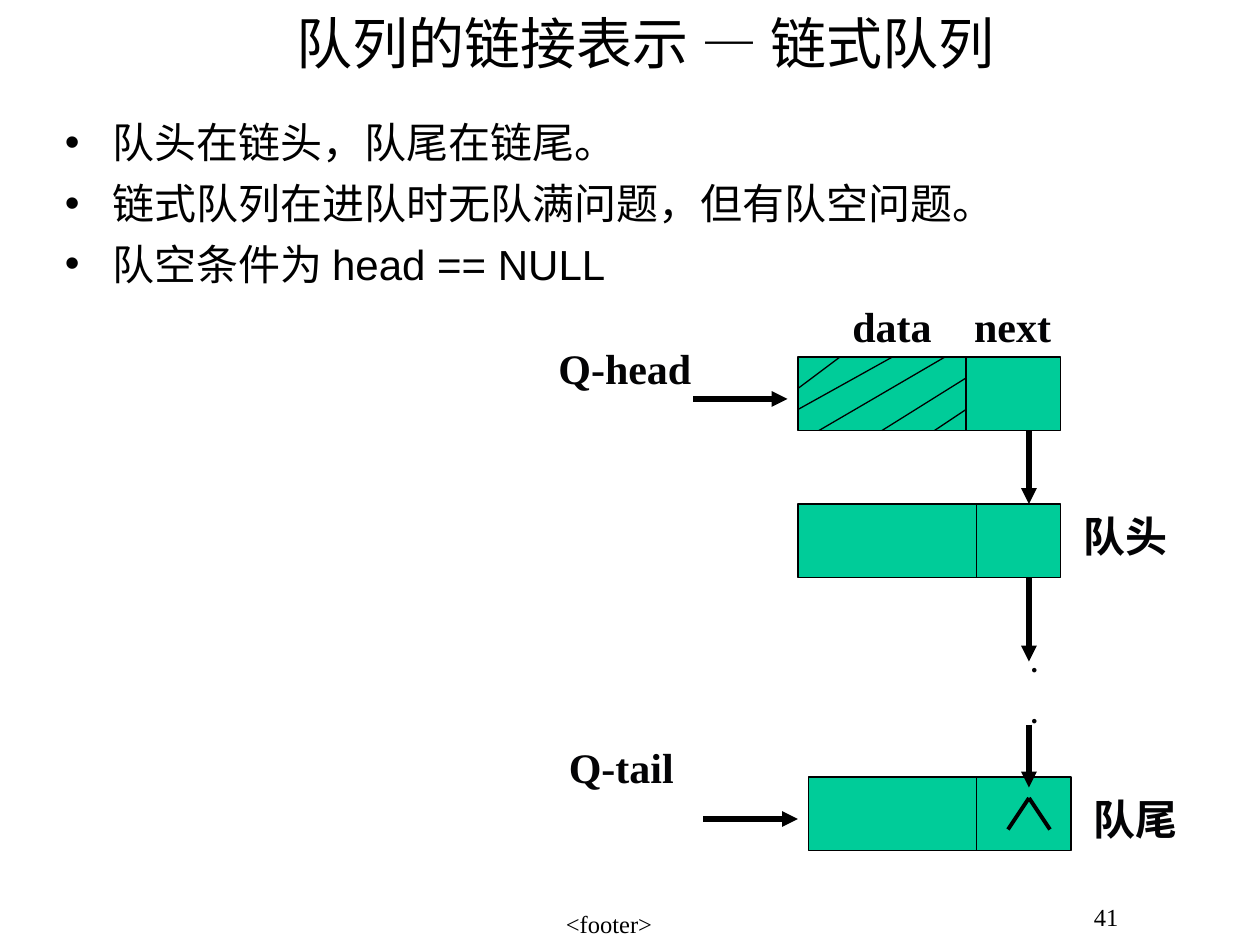
from lxml.etree import SubElement
from pptx import Presentation
from pptx.dml.color import RGBColor
from pptx.enum.shapes import MSO_CONNECTOR, MSO_SHAPE
from pptx.enum.text import MSO_ANCHOR, PP_ALIGN
from pptx.oxml.ns import qn
from pptx.util import Inches, Pt

THEME = {
    "ink": RGBColor(0, 0, 0),
    "label": RGBColor(3, 3, 5),
    "node": RGBColor(0, 0xCC, 0x99),
    "serif": "Times New Roman", "sans": "Arial", "cjk": "Noto Sans CJK SC",
    "title": Pt(32), "body": Pt(24), "dot": Pt(16), "foot": Pt(14),
    "thin": Pt(0.75), "mid": Pt(2.25), "thick": Pt(3),
}

# All places are in grid cells, twelve to the inch.
COLS, ROWS = 120, 90
WIDE, HIGH = 25, 7

TITLE = "队列的链接表示 — 链式队列"
POINTS = ["队头在链头，队尾在链尾。",
          "链式队列在进队时无队满问题，但有队空问题。",
          "队空条件为 head == NULL"]
LABELS = [("Q-head", 52, 32, 19), ("data", 80, 28, 11), ("next", 91.6, 28, 11),
          ("队头", 102, 48, 13), ("Q-tail", 53, 70, 19),
          ("队尾", 103, 75, 13)]  # text, left, top, width
NODES = [(76, 34, 92), (76, 48, 93), (77, 74, 93)]  # left, top, divider
HATCH = [(80, 34, 76, 37), (85, 34, 76, 39), (90, 34, 78, 41),
         (92, 36, 84, 41), (92, 39, 89, 41)]
ARROWS = [(66, 38, 75, 38), (98, 41, 98, 48), (98, 55, 98, 63),
          (98, 69, 98, 75), (67, 78, 76, 78)]
NULL = [(98, 76, 96, 79), (98, 76, 100, 79)]

deck = Presentation()


def cell(n):
    return Inches(n / 12)


deck.slide_width, deck.slide_height = cell(COLS), cell(ROWS)
slide = deck.slides.add_slide(deck.slide_layouts[6])
shapes = slide.shapes


def write(lines, box, font, para=None, anchor=MSO_ANCHOR.TOP):
    """Add a text box; font and para map attribute names to values."""
    frame = shapes.add_textbox(*map(cell, box)).text_frame
    frame.word_wrap = True
    frame.vertical_anchor = anchor
    for i, line in enumerate(lines):
        p = frame.paragraphs[0] if i == 0 else frame.add_paragraph()
        for key, val in (para or {}).items():
            setattr(p, key, val)
        run = p.add_run()
        run.text = line
        for key, val in font.items():
            setattr(run.font, key, val)
        run.font.color.rgb = THEME["label" if font.get("bold") else "ink"]
        SubElement(run.font._element, qn("a:ea"), typeface=THEME["cjk"])
    return frame


def draw(ends, width, arrow=False):
    line = shapes.add_connector(MSO_CONNECTOR.STRAIGHT, *map(cell, ends))
    line.line.width = width
    line.line.color.rgb = THEME["ink"]
    if arrow:
        SubElement(line.line._get_or_add_ln(), qn("a:tailEnd"), type="triangle")
    SubElement(line._element.spPr, qn("a:effectLst"))


def node(left, top, split):
    box = shapes.add_shape(MSO_SHAPE.RECTANGLE,
                           *map(cell, (left, top, WIDE, HIGH)))
    box.shadow.inherit = False
    box.fill.solid()
    box.fill.fore_color.rgb = THEME["node"]
    box.line.color.rgb = THEME["ink"]
    box.line.width = THEME["thin"]
    draw((split, top, split, top + HIGH), THEME["thin"])


foot = {"name": THEME["serif"], "size": THEME["foot"]}
bold = {"name": THEME["serif"], "size": THEME["body"], "bold": True}
mid = {"alignment": PP_ALIGN.CENTER}

write(["41"], (103, 85, 6, 5), foot, {"line_spacing": 1.1})
write(["<footer>"], (39, 86, 38, 4), foot, mid)

for spot in NODES:
    node(*spot)
for ends in HATCH:
    draw(ends, THEME["thin"])
for ends in ARROWS:
    draw(ends, THEME["thick"], arrow=True)
for ends in NULL:
    draw(ends, THEME["mid"])

for text, left, top, width in LABELS:
    write([text], (left, top, width, 6), bold)
write([".", "."], (97, 60.75, 8, 9.2), {**bold, "size": THEME["dot"]},
      {"space_before": Pt(10)})

write([TITLE], (12, 1, 99, 6),
      {"name": THEME["cjk"], "size": THEME["title"]}, mid, MSO_ANCHOR.MIDDLE)
body = write(POINTS, (5, 10.5, 106, 69),
             {"name": THEME["sans"], "size": THEME["body"]},
             {"space_before": Pt(6)})
for p in body.paragraphs:
    props = p._p.get_or_add_pPr()
    props.set("marL", str(Inches(0.38)))
    props.set("indent", str(-Inches(0.38)))
    SubElement(props, qn("a:buFont"), typeface=THEME["sans"])
    SubElement(props, qn("a:buChar"), char="•")

deck.save("out.pptx")
